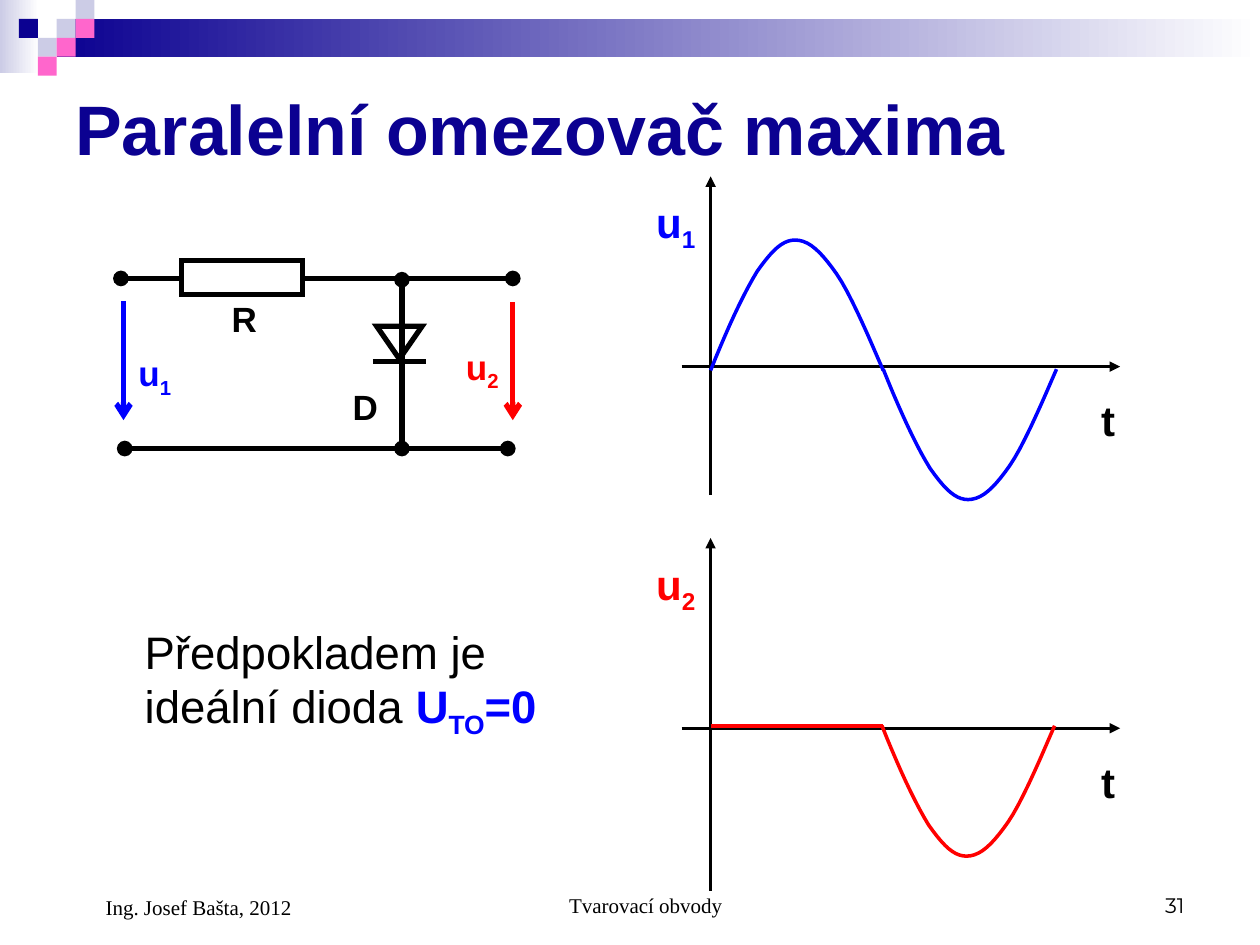
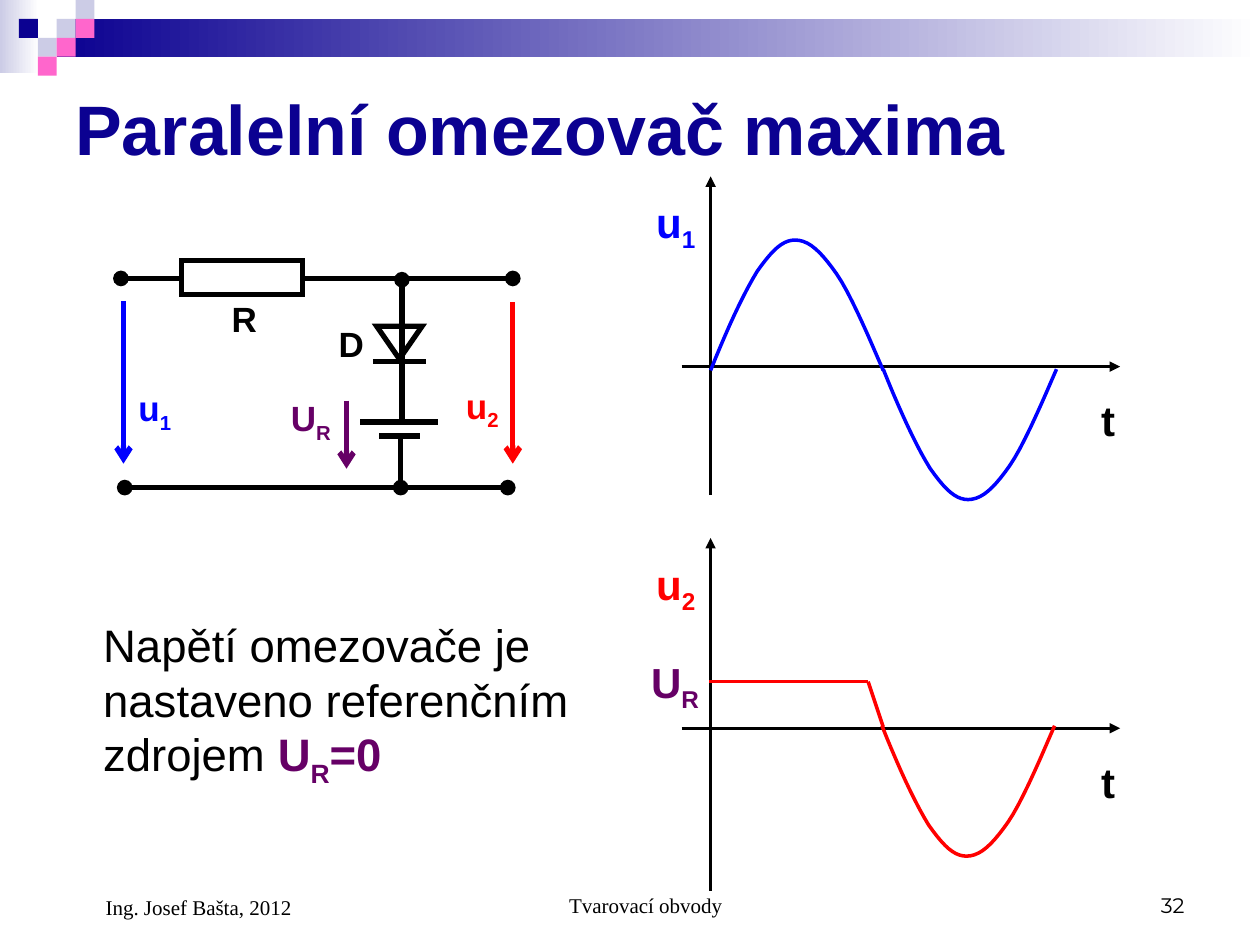
from dataclasses import dataclass
from itertools import pairwise
from typing import Any

from lxml.etree import SubElement
from pptx import Presentation
from pptx.dml.color import RGBColor
from pptx.enum.shapes import MSO_CONNECTOR, MSO_SHAPE
from pptx.enum.text import MSO_ANCHOR, PP_ALIGN
from pptx.oxml.ns import qn
from pptx.util import Inches, Pt

COLORS = {
    "black": "000000", "white": "FFFFFF", "navy": "0B0191", "lavender": "CCCCE6",
    "pink": "FF66CC", "input": "0000FF", "output": "FF0000", "reference": "660066",
}
CELL = Inches(0.1)  # the slide is a grid of 100 columns by 75 rows
COLUMNS, ROWS = 100, 75

# Bezier control points of half a wave, as shares of its width and height
HALF_WAVE = [
    (0, 0), (0.09, 0.3), (0.19, 0.59), (0.27, 0.76), (0.36, 0.93), (0.42, 1), (0.49, 1),
    (0.57, 1), (0.64, 0.91), (0.73, 0.74), (0.82, 0.57), (0.96, 0.12), (1, 0),
]
CURVE_STEPS = 10


def color(name):
    return RGBColor.from_string(COLORS[name])


def stroke(line, name, width, head=None, tail=None):
    """Style an outline with mitred corners and optional end marks."""
    line.color.rgb = color(name)
    line.width = Pt(width)
    ln = line.fill._xPr if hasattr(line.fill, "_xPr") else line._get_or_add_ln()
    SubElement(ln, qn("a:miter"), lim="800000")
    for tag, mark in (("a:headEnd", head), ("a:tailEnd", tail)):
        if mark:
            SubElement(ln, qn(tag), type=mark)


def half_wave(left, base, width, rise):
    """Return points of half a wave; a negative rise goes upwards."""
    points = [HALF_WAVE[0]]
    for start in range(0, len(HALF_WAVE) - 1, 3):
        controls = HALF_WAVE[start:start + 4]
        for step in range(1, CURVE_STEPS + 1):
            t = step / CURVE_STEPS
            weights = ((1 - t) ** 3, 3 * t * (1 - t) ** 2, 3 * t * t * (1 - t), t ** 3)
            points.append(tuple(sum(w * c[axis] for w, c in zip(weights, controls))
                                for axis in (0, 1)))
    return [(left + x * width, base + y * rise) for x, y in points]


@dataclass
class Region:
    """A part of a slide; all lengths inside it are grid cells from its corner."""
    slide: Any
    left: float = 0
    top: float = 0

    def point(self, x, y):
        return round((self.left + x) * CELL), round((self.top + y) * CELL)

    def box(self, x, y, width, height):
        return *self.point(x, y), round(width * CELL), round(height * CELL)

    def shape(self, kind, *box):
        shape = self.slide.shapes.add_shape(kind, *self.box(*box))
        shape.shadow.inherit = False
        return shape

    def block(self, name, *box, fade=False):
        """Add a borderless rectangle, fading to white on the right if asked."""
        block = self.shape(MSO_SHAPE.RECTANGLE, *box)
        block.line.fill.background()
        if fade:
            block.fill.gradient()
            block.fill.gradient_angle = 0
            for stop, shade in zip(block.fill.gradient_stops, (name, "white")):
                stop.color.rgb = color(shade)
        else:
            block.fill.solid()
            block.fill.fore_color.rgb = color(name)

    def outline(self, kind, *box):
        outline = self.shape(kind, *box)
        outline.fill.background()
        stroke(outline.line, "black", 3)
        return outline

    def line(self, start, end, name="black", width=3, head=None, tail=None):
        line = self.slide.shapes.add_connector(
            MSO_CONNECTOR.STRAIGHT, *self.point(*start), *self.point(*end))
        SubElement(line._element.spPr, qn("a:effectLst"))
        stroke(line.line, name, width, head, tail)

    def curve(self, points, name):
        start, *rest = [self.point(*point) for point in points]
        builder = self.slide.shapes.build_freeform(*start)
        builder.add_line_segments(rest, close=False)
        curve = builder.convert_to_shape()
        curve.shadow.inherit = False
        curve.fill.background()
        stroke(curve.line, name, 2)

    def text(self, runs, size, *box, name="black", font="Arial", bold=None,
             align=PP_ALIGN.LEFT, anchor=MSO_ANCHOR.TOP, indent=0):
        """Add one paragraph; a run is text, or (text, colour, is_subscript) in bold."""
        frame = self.slide.shapes.add_textbox(*self.box(*box)).text_frame
        frame.word_wrap = True
        frame.vertical_anchor = anchor
        paragraph = frame.paragraphs[0]
        paragraph.alignment = align
        if indent:
            paragraph._p.get_or_add_pPr().set("marL", str(round(indent * CELL)))
        paragraph.font.size = Pt(size)
        paragraph.font.name = font
        paragraph.font.bold = bold
        paragraph.font.color.rgb = color(name)
        for part in runs:
            run = paragraph.add_run()
            if isinstance(part, str):
                run.text = part
                continue
            run.text, shade, is_subscript = part
            run.font.bold = True
            run.font.color.rgb = color(shade)
            if is_subscript:
                run.font._element.set("baseline", "-25000")

    def label(self, symbol, subscript, name, size, x, y, width=5.6):
        runs = [(symbol, name, False)]
        if subscript:
            runs.append((subscript, name, True))
        self.text(runs, size, x, y, width, 1 + size / 6 + 0.5 * bool(subscript))


def add_frame(slide, title, number):
    """Draw the band, squares, title and footers that all slides share."""
    page = Region(slide)
    page.block("lavender", 0, 0, 3.1, 5.8, fade=True)
    page.block("navy", 4.5, 1.5, 95.5, 3, fade=True)
    side = 1.5
    for name, column, row in (
            ("lavender", 3, 1), ("lavender", 4, 0), ("pink", 4, 1), ("lavender", 2, 2),
            ("navy", 1, 1), ("pink", 3, 2), ("pink", 2, 3)):
        page.block(name, column * side, row * side, side, side)
    page.text([title], 40, 5, 5, 90, 10.3, name="navy", bold=True,
              anchor=MSO_ANCHOR.MIDDLE)
    for words, font, align, indent, box in (
            ("Ing. Josef Bašta, 2012", "Times New Roman", PP_ALIGN.LEFT, 2.4,
             (5, 68.3, 23.3, 5.2)),
            ("Tvarovací obvody", "Times New Roman", PP_ALIGN.CENTER, 2.4,
             (34.2, 68.3, 31.7, 5)),
            (str(number), "Montserrat", PP_ALIGN.RIGHT, 0, (71.7, 68.3, 23.3, 5))):
        page.text([words], 12, *box, font=font, align=align, indent=indent,
                  anchor=MSO_ANCHOR.BOTTOM)


def add_axes(plot, subscript, name, height):
    plot.line((3.4, 15.1), (38.2, 15.1), width=1.5, tail="triangle")
    plot.line((5.7, height), (5.7, 0), width=1.5, tail="triangle")
    plot.label("u", subscript, name, 24, 0.4, 1.1)
    plot.label("t", None, "black", 24, 35.7, 16.85)


def add_input_plot(plot):
    add_axes(plot, "1", "input", 25.3)
    plot.curve(half_wave(5.7, 15.4, 13.7, -10.35), "input")
    plot.curve(half_wave(19.4, 15.3, 13.75, 10.35), "input")


def add_output_plot(plot, clipped, has_reference):
    """Plot the output, whose upper half follows the clipped points."""
    add_axes(plot, "2", "output", 28)
    plot.curve(half_wave(19.3, 14.9, 13.7, 10.35), "output")
    for start, end in pairwise(clipped):
        plot.line(start, end, "output", 2)
    if has_reference:
        plot.label("U", "R", "reference", 24, 0, 8.9, 6.6)


def add_source(circuit, ground):
    """Draw the reference voltage source between the diode and the ground wire."""
    circuit.line((22.2, ground), (22.2, 13.9), head="oval")
    circuit.line((19, 12.8), (25.2, 12.8))
    circuit.line((20.5, 13.9), (23.7, 13.9))
    circuit.line((17.9, 11.1), (17.9, 16.5), "reference", tail="arrow")
    circuit.label("U", "R", "reference", 20, 12.5, 10.3)


def add_circuit(circuit, ground, arrow_end, input_label_y, output_label_y, diode_label,
                has_reference):
    supply, branch = 1.4, 22.3
    circuit.outline(MSO_SHAPE.RECTANGLE, 4.8, 0, 9.6, 2.7)
    circuit.label("R", None, "black", 20, 7.8, 2.4, 4.6)
    circuit.line((4.6, supply), (0, supply), tail="oval")
    circuit.line((31.1, supply), (14.4, supply), head="oval")
    circuit.line((30.7, ground), (0.3, ground), head="oval", tail="oval")

    circuit.line((0.2, 3.2), (0.2, arrow_end), "input", tail="arrow")
    circuit.label("u", "1", "input", 20, 0.4, input_label_y)
    circuit.line((31.1, 3.3), (31.1, arrow_end), "output", tail="arrow")
    circuit.label("u", "2", "output", 20, 26.4, output_label_y)

    branch_end = 12.7 if has_reference else ground
    circuit.line((branch, branch_end), (branch, 1.5),
                 head=None if has_reference else "oval", tail="oval")
    diode = circuit.outline(MSO_SHAPE.ISOSCELES_TRIANGLE, 20.3, 5.2, 3.6, 2.6)
    diode._element.spPr.get_or_add_xfrm().set("flipV", "1")
    circuit.line((20, 8), (24.2, 8))
    circuit.label("D", None, "black", 20, *diode_label, 4.6)
    if has_reference:
        add_source(circuit, ground)


def add_limiter_slide(deck, number, circuit, clipped, note, note_box, has_reference):
    slide = deck.slides.add_slide(deck.slide_layouts[6])
    add_frame(slide, "Paralelní omezovač maxima", number)
    add_input_plot(Region(slide, 50.7, 14))
    add_output_plot(Region(slide, 50.7, 42.7), clipped, has_reference)
    add_circuit(Region(slide, 9.6, 20.7), **circuit, has_reference=has_reference)
    Region(slide).text(note, 26, *note_box)


def main():
    deck = Presentation()
    deck.slide_width, deck.slide_height = COLUMNS * CELL, ROWS * CELL
    add_limiter_slide(
        deck, 31,
        circuit={"ground": 14.9, "arrow_end": 12.65, "input_label_y": 6.7,
                 "output_label_y": 6.2, "diode_label": (17.4, 9.4)},
        clipped=[(5.7, 14.9), (19.4, 14.9)],
        note=["Předpokladem je ideální dioda ", ("U", "input", False),
              ("TO", "input", True), ("=0", "input", False)],
        note_box=(10.5, 49, 38.2, 10.3), has_reference=False)
    add_limiter_slide(
        deck, 32,
        circuit={"ground": 18, "arrow_end": 16.1, "input_label_y": 9.5,
                 "output_label_y": 9.3, "diode_label": (16.3, 4.4)},
        clipped=[(5.6, 11.4), (18.2, 11.4), (19.4, 15)],
        note=["Napětí omezovače je nastaveno referenčním zdrojem ",
              ("U", "reference", False), ("R", "reference", True),
              ("=0", "reference", False)],
        note_box=(7.2, 48.5, 39.5, 14.6), has_reference=True)
    deck.save("out.pptx")


if __name__ == "__main__":
    main()
